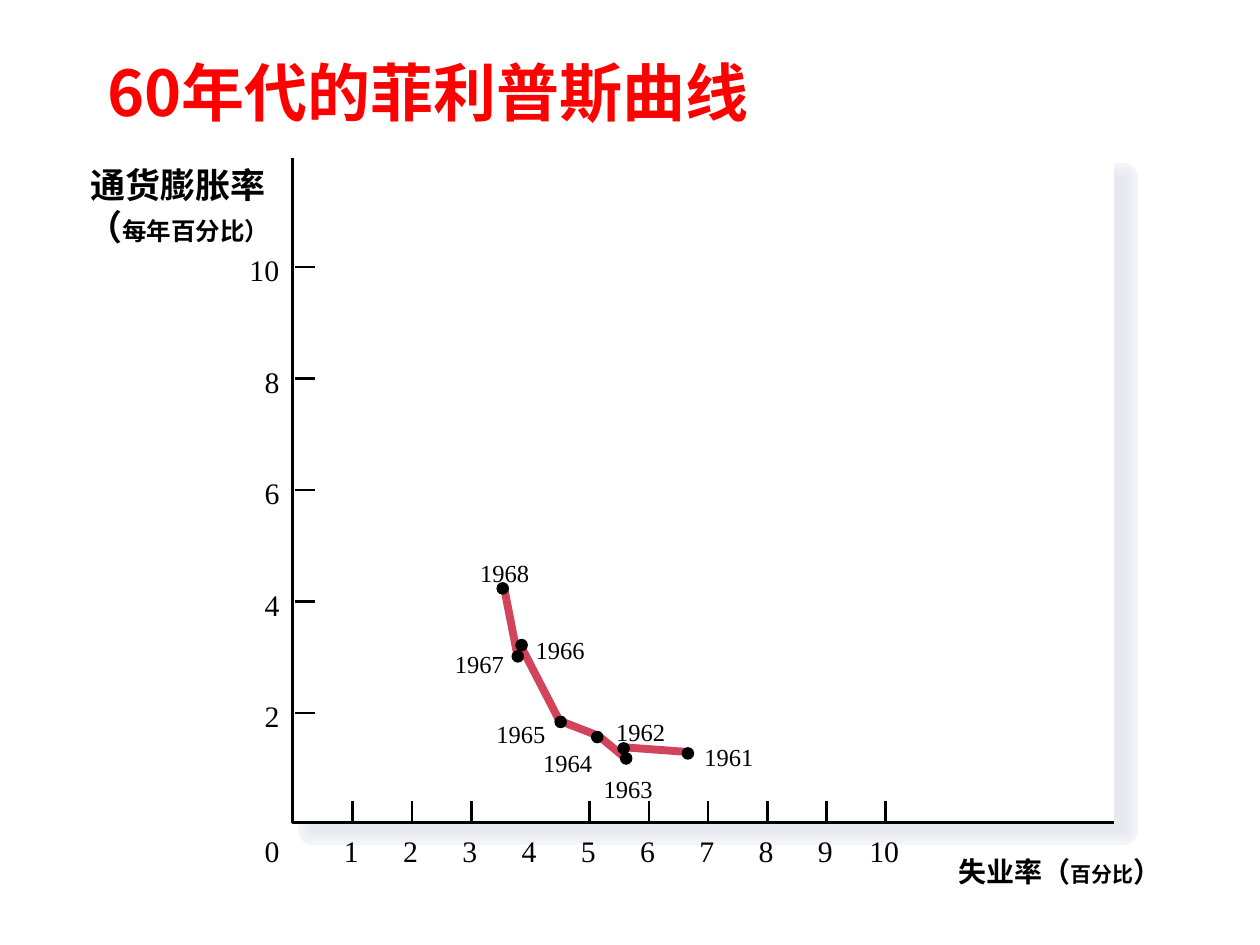
"""Build the slide showing the Phillips curve of the 1960s."""
import pptx
import pptx.dml.color
import pptx.enum.shapes
import pptx.enum.text
import pptx.oxml.ns
import pptx.util
from lxml import etree

Inches, Pt = pptx.util.Inches, pptx.util.Pt
PP_ALIGN = pptx.enum.text.PP_ALIGN
SHAPE = pptx.enum.shapes.MSO_SHAPE
CJK_FONT, LATIN_FONT = "Noto Sans CJK SC", "Times New Roman"
BLACK, WHITE, RED, CURVE = "000000", "FFFFFF", "FF0000", "D2435C"

TITLE = [[("60年代的菲利普斯曲线", 36)]]
INFLATION_TITLE = [[("通货膨胀率", 20)], [("（", 20), ("每年百分比）", 14)]]
UNEMPLOYMENT_TITLE = [[("失业率（", 16), ("百分比", 12), ("）", 16)]]

HALO_COLORS = ["F3F6F9", "F2F4F8", "F1F4F7", "F0F2F5", "EEF1F4", "EDEFF3",
               "EBEEF2", "EAECF1", "E9EBF0", "E7EAEF", "E6E9EF"]
HALO_BOX = (2.48, 1.41, 6.44, 5.18)
PLOT_BOX = (2.32, 1.25, 6.52, 5.28)
ORIGIN_X, X_STEP = 2.33, 0.47
TOP_TICK_Y, BOTTOM_TICK_Y = 2.12, 5.66
X_VALUES = range(1, 11)
X_WITHOUT_TICK = {4}
Y_VALUES = range(2, 11, 2)
DIGIT_WIDTH, LABEL_HEIGHT = 0.12, 0.28
X_LABEL_TOP, Y_LABEL_RIGHT = 6.61, 2.22

CURVE_SEGMENTS = [
    ((4.94, 5.93), (5.48, 5.97)),
    ((4.75, 5.84), (4.98, 6.03)),
    ((4.44, 5.72), (4.75, 5.84)),
    ((4.13, 5.12), (4.44, 5.72)),
    ((4, 4.66), (4.11, 5.22)),
]
DOT_SIZE = 0.1
YEARS = [
    ("1968", (3.94, 4.62), (3.81, 4.43)),
    ("1966", (4.09, 5.07), (4.25, 5.04)),
    ("1961", (5.41, 5.93), (5.59, 5.89)),
    ("1962", (4.9, 5.89), (4.89, 5.69)),
    ("1963", (4.92, 5.97), (4.79, 6.14)),
    ("1967", (4.06, 5.16), (3.61, 5.15)),
    ("1965", (4.4, 5.68), (3.94, 5.71)),
    ("1964", (4.69, 5.8), (4.31, 5.94)),
]


def rgb(color):
    return pptx.dml.color.RGBColor.from_string(color)


def set_attributes(target, values):
    for name, value in values.items():
        setattr(target, name, value)


def add_text(shapes, box, paragraphs, color=BLACK, bold=False, font=LATIN_FONT,
             paragraph_format=None, **frame_format):
    shape = shapes.add_textbox(*map(Inches, box))
    frame = shape.text_frame
    set_attributes(frame, {
        "margin_left": 0, "margin_right": 0, "margin_top": 0, "margin_bottom": 0,
        "word_wrap": False,
        "auto_size": pptx.enum.text.MSO_AUTO_SIZE.SHAPE_TO_FIT_TEXT,
        **frame_format,
    })
    for index, runs in enumerate(paragraphs):
        paragraph = frame.add_paragraph() if index else frame.paragraphs[0]
        set_attributes(paragraph, paragraph_format or {})
        for text, size in runs:
            run = paragraph.add_run()
            run.text = text
            set_attributes(run.font, {"size": Pt(size), "bold": bold, "name": font})
            run.font.color.rgb = rgb(color)
            east_asian = etree.SubElement(run.font._element, pptx.oxml.ns.qn("a:ea"))
            east_asian.set("typeface", CJK_FONT)


def add_filled(shapes, kind, box, fill, line_width=0):
    shape = shapes.add_shape(kind, *map(Inches, box))
    shape.shadow.inherit = False
    shape.fill.solid()
    shape.fill.fore_color.rgb = rgb(fill)
    if line_width:
        shape.line.color.rgb = rgb(fill)
        shape.line.width = Pt(line_width)
    else:
        shape.line.fill.background()


def add_line(shapes, start, end, color=BLACK, width=1.5):
    line = shapes.add_connector(pptx.enum.shapes.MSO_CONNECTOR.STRAIGHT,
                                *map(Inches, (*start, *end)))
    line.line.color.rgb = rgb(color)
    line.line.width = Pt(width)
    etree.SubElement(line._element.spPr, pptx.oxml.ns.qn("a:effectLst"))


def add_plot_area(shapes):
    for index, color in enumerate(HALO_COLORS):
        add_filled(shapes, SHAPE.RECTANGLE, HALO_BOX, color, 1.5 * (len(HALO_COLORS) - index))
    add_filled(shapes, SHAPE.RECTANGLE, PLOT_BOX, WHITE)
    left, top, width, height = map(Inches, PLOT_BOX)
    builder = shapes.build_freeform(left, top)
    builder.add_line_segments([(left, top + height), (left + width, top + height)], close=False)
    axes = builder.convert_to_shape()
    axes.shadow.inherit = False
    axes.fill.background()
    axes.line.color.rgb = rgb(BLACK)
    axes.line.width = Pt(1.5)


def add_axis_label(shapes, value, top, center=None):
    width = DIGIT_WIDTH * len(str(value))
    left = Y_LABEL_RIGHT - width if center is None else center - width / 2
    add_text(shapes, (left, top, width, LABEL_HEIGHT), [[(str(value), 17)]])


def add_scales(shapes):
    for value in X_VALUES:
        x = ORIGIN_X + X_STEP * value
        add_axis_label(shapes, value, X_LABEL_TOP, x - 0.01)
        if value not in X_WITHOUT_TICK:
            add_line(shapes, (x, 6.36), (x, 6.53))
    add_axis_label(shapes, 0, X_LABEL_TOP)
    for value in Y_VALUES:
        y = TOP_TICK_Y + (10 - value) * (BOTTOM_TICK_Y - TOP_TICK_Y) / 8
        add_axis_label(shapes, value, y - 0.12)
        add_line(shapes, (2.5, y), (2.34, y))


def add_curve(shapes):
    curve = shapes.add_group_shape()
    for start, end in CURVE_SEGMENTS:
        add_line(curve.shapes, start, end, CURVE, 4.5)
    for year, dot, label in YEARS:
        point = shapes.add_group_shape()
        add_filled(point.shapes, SHAPE.OVAL, (*dot, DOT_SIZE, DOT_SIZE), BLACK)
        add_text(point.shapes, (*label, 0.39, 0.23), [[(year, 14)]])


def main():
    presentation = pptx.Presentation()
    set_attributes(presentation, {"slide_width": Inches(10), "slide_height": Inches(7.5)})
    shapes = presentation.slides.add_slide(presentation.slide_layouts[6]).shapes
    add_text(shapes, (0.5, 0.3, 9, 0.93), TITLE, RED, True, CJK_FONT, {"line_spacing": 0.9},
             margin_left=Inches(0.35), word_wrap=True,
             auto_size=pptx.enum.text.MSO_AUTO_SIZE.NONE,
             vertical_anchor=pptx.enum.text.MSO_ANCHOR.MIDDLE)
    add_plot_area(shapes)
    add_scales(shapes)
    add_text(shapes, (7.61, 6.78, 1.61, 0.27), UNEMPLOYMENT_TITLE, bold=True)
    add_text(shapes, (0.69, 1.3, 1.45, 0.67), INFLATION_TITLE, bold=True,
             paragraph_format={"alignment": PP_ALIGN.CENTER})
    add_curve(shapes)
    presentation.save("out.pptx")


if __name__ == "__main__":
    main()
